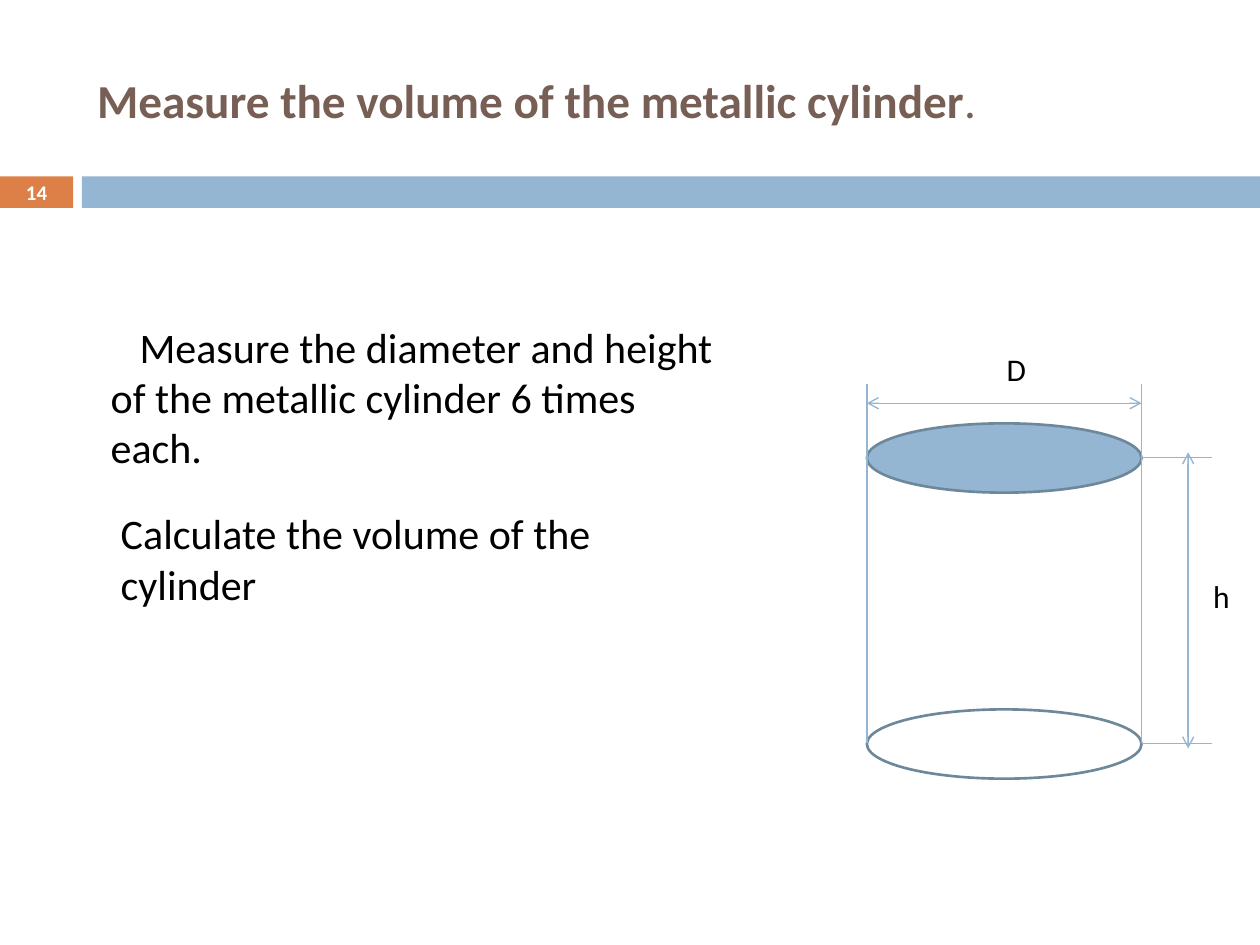
from lxml import etree
from pptx import Presentation
from pptx.dml.color import RGBColor
from pptx.enum.shapes import MSO_CONNECTOR, MSO_SHAPE
from pptx.enum.text import MSO_ANCHOR, PP_ALIGN
from pptx.oxml.ns import qn
from pptx.util import Inches, Pt

BLUE = RGBColor(0x94, 0xB6, 0xD2)
OUTLINE = RGBColor(0x6D, 0x87, 0x9B)
ORANGE = RGBColor(0xDD, 0x80, 0x47)
BROWN = RGBColor(0x77, 0x5F, 0x55)
BLACK = RGBColor(0, 0, 0)
WHITE = RGBColor(255, 255, 255)

prs = Presentation()
prs.slide_width, prs.slide_height = Inches(10), Inches(7.5)
slide = prs.slides.add_slide(prs.slide_layouts[5])
shapes = slide.shapes


def write(box, text, size=24, color=BLACK, bold=False, align=PP_ALIGN.LEFT,
          anchor=MSO_ANCHOR.TOP, wrap=True, indent=0):
    frame = box.text_frame
    frame.word_wrap = wrap
    frame.vertical_anchor = anchor
    paragraph = frame.paragraphs[0]
    paragraph.alignment = align
    if indent:
        properties = paragraph._p.get_or_add_pPr()
        properties.set("marL", "0")
        properties.set("indent", str(Inches(indent)))
    run = paragraph.add_run()
    run.text = text
    font = run.font
    font.name, font.size, font.bold = "Calibri", Pt(size), bold
    font.color.rgb = color


def draw_line(x1, y1, x2, y2, arrows=False):
    line = shapes.add_connector(MSO_CONNECTOR.STRAIGHT, Inches(x1), Inches(y1),
                                Inches(x2), Inches(y2))
    line.line.color.rgb = BLUE
    line.line.width = Pt(0.79)
    if arrows:
        outline = line.line._get_or_add_ln()
        for end in ("a:headEnd", "a:tailEnd"):
            etree.SubElement(outline, qn(end), type="arrow")
    etree.SubElement(line._element.spPr, qn("a:effectLst"))


# Title
title = shapes.title
title.left, title.top = Inches(0.67), Inches(0.25)
title.width, title.height = Inches(8.92), Inches(1.08)
for text, bold in (("Measure the volume of the metallic cylinder", True), (".", False)):
    write(title, text, size=27, color=BROWN, bold=bold, anchor=MSO_ANCHOR.MIDDLE)

# Band below the title, with the page number
for left, width, color in ((0, 0.58, ORANGE), (0.65, 9.35, BLUE)):
    band = shapes.add_shape(MSO_SHAPE.RECTANGLE, Inches(left), Inches(1.4),
                            Inches(width), Inches(0.25))
    band.shadow.inherit = False
    band.fill.solid()
    band.fill.fore_color.rgb = color
    band.line.fill.background()
page_number = shapes.add_textbox(Inches(0), Inches(1.39), Inches(0.58), Inches(0.27))
write(page_number, "14", size=11.9, color=WHITE, bold=True,
      align=PP_ALIGN.CENTER, anchor=MSO_ANCHOR.MIDDLE)

# Instructions
measure = shapes.add_textbox(Inches(0.78), Inches(2.5), Inches(5.16), Inches(1.3))
write(measure, "Measure the diameter and height of the metallic cylinder 6 times each.",
      indent=0.23)
calculate = shapes.add_textbox(Inches(0.86), Inches(3.98), Inches(5.01), Inches(0.9))
write(calculate, "Calculate the volume of the cylinder")

# Cylinder: two ends and two sides
LEFT, RIGHT = 6.88, 9.06
TOP, BOTTOM = 3.63, 5.9
for middle, filled in ((BOTTOM, False), (TOP, True)):
    end_face = shapes.add_shape(MSO_SHAPE.OVAL, Inches(LEFT), Inches(middle - 0.27),
                                Inches(RIGHT - LEFT), Inches(0.55))
    end_face.shadow.inherit = False
    end_face.line.color.rgb = OUTLINE
    end_face.line.width = Pt(1.5)
    if filled:
        end_face.fill.solid()
        end_face.fill.fore_color.rgb = BLUE
    else:
        end_face.fill.background()
for side in (LEFT, RIGHT):
    draw_line(side, TOP, side, BOTTOM)
    draw_line(side, TOP, side, 3.05)  # extension line for the diameter

# Dimensions
for level in (TOP, BOTTOM):
    draw_line(RIGHT, level, 9.62, level)
draw_line(9.43, 3.59, 9.43, 5.94, arrows=True)
draw_line(LEFT, 3.2, RIGHT, 3.2, arrows=True)
for symbol, left, top, width in (("h", 9.53, 4.53, 0.31), ("D", 7.89, 2.73, 0.35)):
    label = shapes.add_textbox(Inches(left), Inches(top), Inches(width), Inches(0.4))
    write(label, symbol, size=18, wrap=False)

prs.save("out.pptx")
